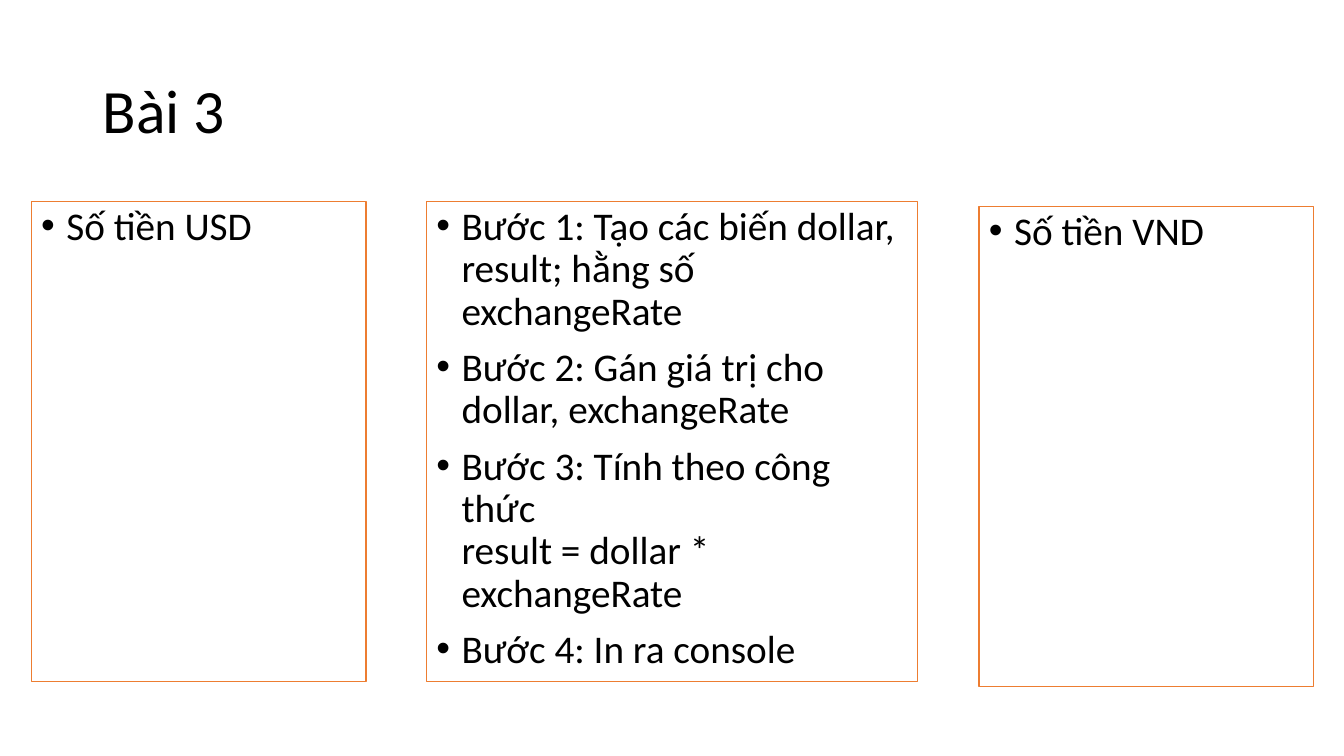
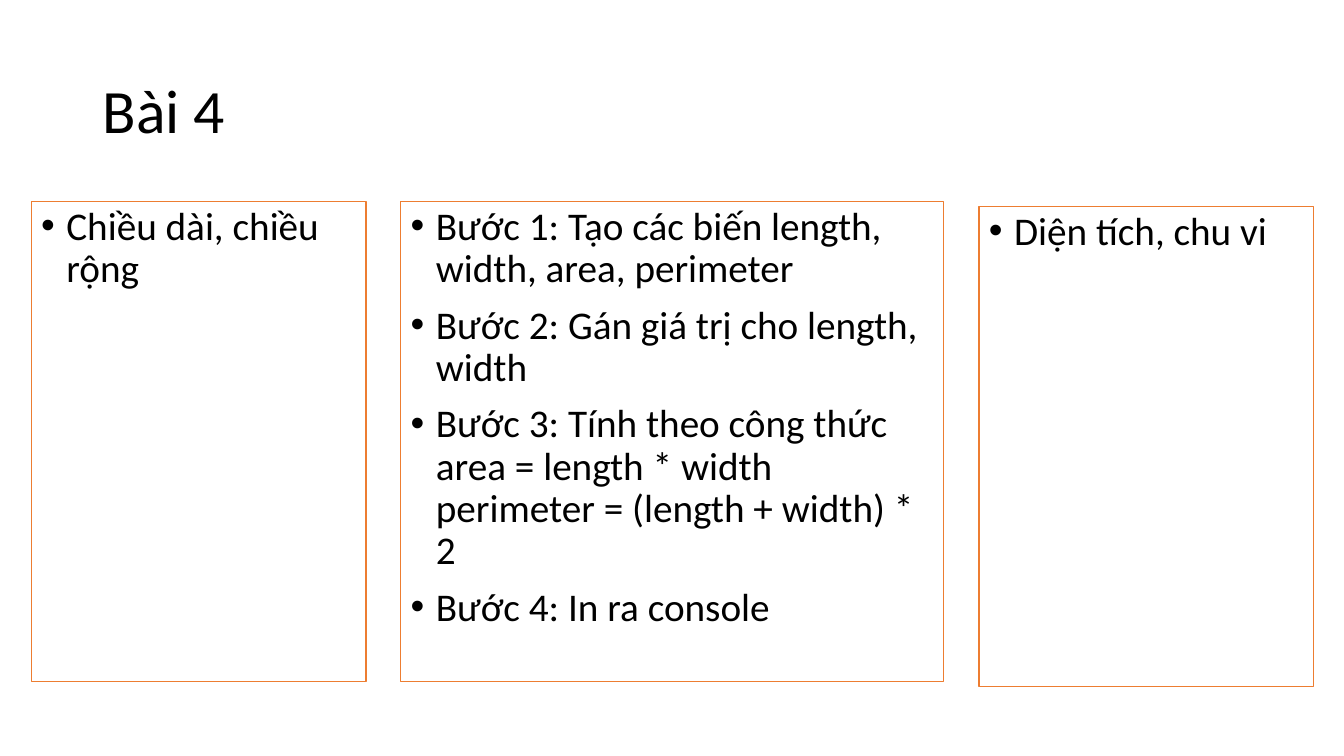
from lxml import etree
from pptx import Presentation
from pptx.dml.color import RGBColor
from pptx.enum.shapes import MSO_SHAPE
from pptx.enum.text import MSO_ANCHOR, MSO_AUTO_SIZE, PP_ALIGN
from pptx.oxml.ns import qn
from pptx.util import Inches, Pt

RECTANGLE = MSO_SHAPE.RECTANGLE
LEFT = PP_ALIGN.LEFT
TOP, MIDDLE = MSO_ANCHOR.TOP, MSO_ANCHOR.MIDDLE
NO_AUTOFIT = MSO_AUTO_SIZE.NONE

FONT = "Calibri"
BLACK, WHITE, ORANGE = "000000", "FFFFFF", "ED7D31"
TITLE_SIZE, BODY_SIZE = 44, 28

SLIDE_WIDTH, SLIDE_HEIGHT = 13.33, 7.5
TITLE_BOX = (0.92, 0.4, 11.5, 1.45)
PANEL_HEIGHT = 4.76
INPUT_BOX = (0.31, 2, 3.32, PANEL_HEIGHT)
OUTPUT_BOX = (9.71, 2.05, 3.32, PANEL_HEIGHT)
STEPS_TOP = 2
BULLET_INDENT = 0.25

EXERCISES = [
    {
        "title": "Bài 3",
        "inputs": ["Số tiền USD"],
        "steps": [
            "Bước 1: Tạo các biến dollar, result; hằng số exchangeRate",
            "Bước 2: Gán giá trị cho dollar, exchangeRate",
            "Bước 3: Tính theo công thức\nresult = dollar * exchangeRate",
            "Bước 4: In ra console",
        ],
        "outputs": ["Số tiền VND"],
        "steps_width": 4.87,
    },
    {
        "title": "Bài 4",
        "inputs": ["Chiều dài, chiều rộng"],
        "steps": [
            "Bước 1: Tạo các biến length, width, area, perimeter",
            "Bước 2: Gán giá trị cho length, width",
            "Bước 3: Tính theo công thức\narea = length * width\n"
            "perimeter = (length + width) * 2",
            "Bước 4: In ra console",
        ],
        "outputs": ["Diện tích, chu vi"],
        "steps_width": 5.38,
    },
]


def color(hex_code):
    """Turn a hex string into a colour."""
    return RGBColor.from_string(hex_code)


def write(paragraph, text, size):
    """Write left-aligned text run by run, with a line break at each newline."""
    paragraph.alignment = LEFT
    paragraph.line_spacing = 0.9
    for number, line in enumerate(text.split("\n")):
        if number:
            paragraph.add_line_break()
        run = paragraph.add_run()
        run.text = line
        run.font.name = FONT
        run.font.size = Pt(size)
        run.font.color.rgb = color(BLACK)


def add_bullet(paragraph):
    """Give a paragraph a round bullet with a hanging indent."""
    properties = paragraph._p.get_or_add_pPr()
    properties.set("marL", str(Inches(BULLET_INDENT)))
    properties.set("indent", str(-Inches(BULLET_INDENT)))
    etree.SubElement(properties, qn("a:buFont")).set("typeface", "Arial")
    etree.SubElement(properties, qn("a:buChar")).set("char", "•")


def set_frame(frame, anchor):
    """Set wrapping and anchoring of a text frame."""
    frame.word_wrap = True
    frame.auto_size = NO_AUTOFIT
    frame.vertical_anchor = anchor


def place_title(slide, text, box):
    """Move the title placeholder to the box and fill it."""
    title = slide.shapes.title
    title.left, title.top, title.width, title.height = map(Inches, box)
    set_frame(title.text_frame, MIDDLE)
    write(title.text_frame.paragraphs[0], text, TITLE_SIZE)


def add_panel(slide, items, box):
    """Draw an outlined panel with a bulleted list in the box."""
    panel = slide.shapes.add_shape(RECTANGLE, *map(Inches, box))
    panel.shadow.inherit = False
    panel.fill.solid()
    panel.fill.fore_color.rgb = color(WHITE)
    panel.line.color.rgb = color(ORANGE)
    panel.line.width = Pt(1)
    frame = panel.text_frame
    set_frame(frame, TOP)
    for number, item in enumerate(items):
        paragraph = frame.add_paragraph() if number else frame.paragraphs[0]
        write(paragraph, item, BODY_SIZE)
        paragraph.space_before = Pt(10)
        add_bullet(paragraph)


def add_exercise(deck, exercise):
    """Add a slide with input, output and centred steps panels."""
    slide = deck.slides.add_slide(deck.slide_layouts[5])
    place_title(slide, exercise["title"], TITLE_BOX)
    add_panel(slide, exercise["inputs"], INPUT_BOX)
    add_panel(slide, exercise["outputs"], OUTPUT_BOX)
    width = exercise["steps_width"]
    steps_box = ((SLIDE_WIDTH - width) / 2, STEPS_TOP, width, PANEL_HEIGHT)
    add_panel(slide, exercise["steps"], steps_box)


def main():
    """Build and save the deck."""
    deck = Presentation()
    deck.slide_width = Inches(SLIDE_WIDTH)
    deck.slide_height = Inches(SLIDE_HEIGHT)
    for exercise in EXERCISES:
        add_exercise(deck, exercise)
    deck.save("out.pptx")


main()
